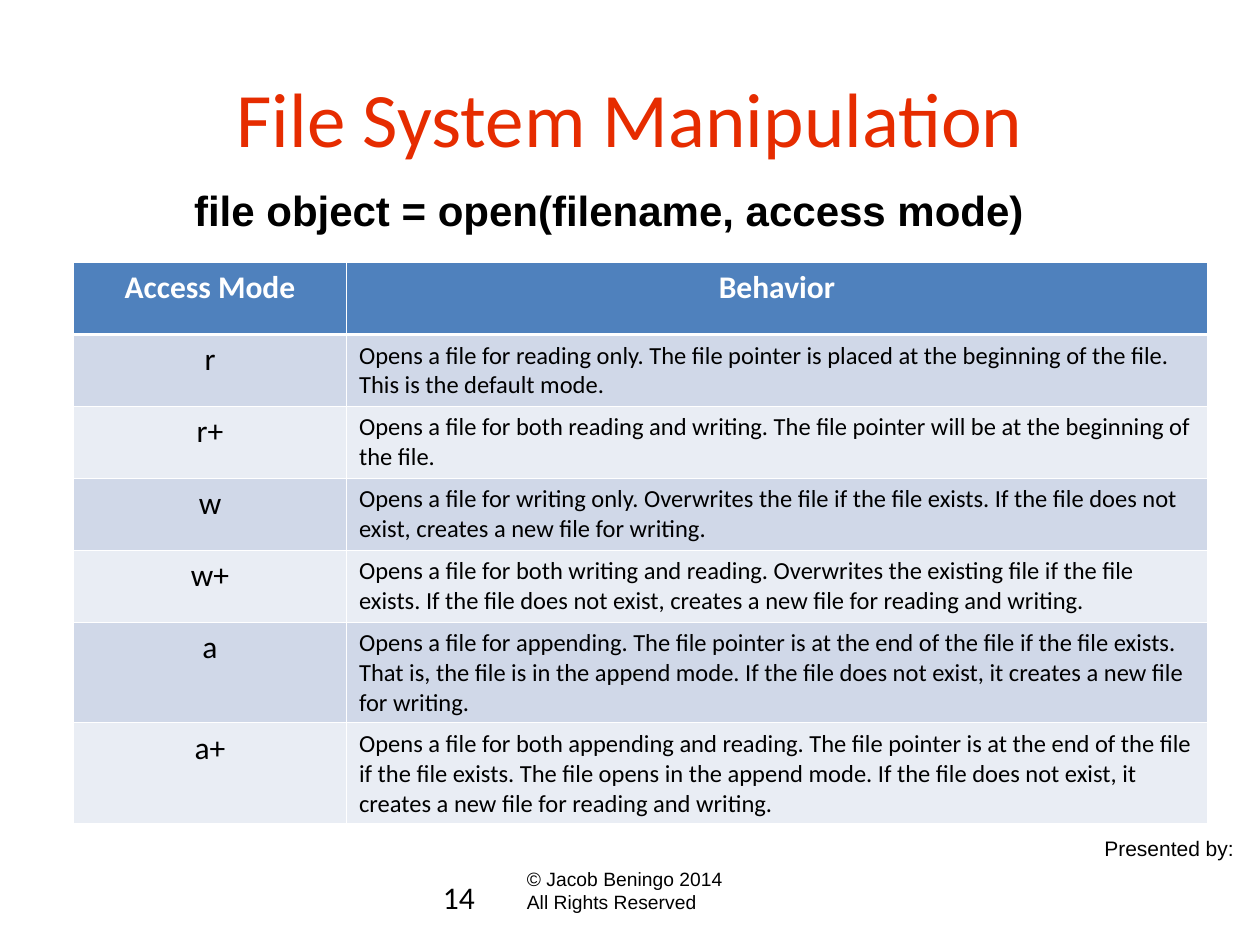
from dataclasses import dataclass

import lxml.etree
import pptx
import pptx.dml.color
import pptx.enum.text
import pptx.oxml.ns
import pptx.util

Pt = pptx.util.Pt
ALIGN = pptx.enum.text.PP_ALIGN
ANCHOR = pptx.enum.text.MSO_ANCHOR


@dataclass(frozen=True)
class Theme:
    heading_font: str = "Calibri"
    plain_font: str = "Arial"
    red: str = "E62C00"
    black: str = "000000"
    white: str = "FFFFFF"
    header_fill: str = "4F81BD"
    bands: tuple = ("D0D8E8", "E9EDF4")
    title_size: int = 44
    syntax_size: int = 24
    mode_size: int = 18
    behavior_size: int = 14
    presenter_size: int = 12
    copyright_size: int = 11
    thin_line: float = 0.45
    thick_line: float = 1.47


THEME = Theme()

MODES = [
    ("Access Mode", "Behavior"),
    ("r", "Opens a file for reading only. The file pointer is placed at the "
          "beginning of the file. This is the default mode."),
    ("r+", "Opens a file for both reading and writing. The file pointer will be at "
           "the beginning of the file."),
    ("w", "Opens a file for writing only. Overwrites the file if the file exists. "
          "If the file does not exist, creates a new file for writing."),
    ("w+", "Opens a file for both writing and reading. Overwrites the existing file "
           "if the file exists. If the file does not exist, creates a new file for "
           "reading and writing."),
    ("a", "Opens a file for appending. The file pointer is at the end of the file if "
          "the file exists. That is, the file is in the append mode. If the file does "
          "not exist, it creates a new file for writing."),
    ("a+", "Opens a file for both appending and reading. The file pointer is at the "
           "end of the file if the file exists. The file opens in the append mode. If "
           "the file does not exist, it creates a new file for reading and writing."),
]
COLUMN_WIDTHS = (156, 492)
ROW_HEIGHTS = (41.1,) * 5 + (57.6,) * 2


def write_text(frame, text, font, size, color=THEME.black, bold=False, align=ALIGN.LEFT):
    """Fill a text frame and format every run alike."""
    frame.text = text
    for para in frame.paragraphs:
        para.alignment = align
        for span in para.runs:
            span.font.name = font
            span.font.size = Pt(size)
            span.font.bold = bold
            span.font.color.rgb = pptx.dml.color.RGBColor.from_string(color)


def add_title(page, text):
    title = page.shapes.title
    title.left, title.top, title.width, title.height = Pt(36), Pt(21.6), Pt(648), Pt(90)
    title.text_frame.vertical_anchor = ANCHOR.MIDDLE
    write_text(title.text_frame, text, THEME.heading_font, THEME.title_size,
               THEME.red, align=ALIGN.CENTER)


def add_text(page, text, left, top, width, height, font, size, **style):
    box = page.shapes.add_textbox(Pt(left), Pt(top), Pt(width), Pt(height))
    box.text_frame.word_wrap = True
    write_text(box.text_frame, text, font, size, **style)


def set_borders(cell, top, bottom):
    """Draw white cell borders; top and bottom are line widths in points."""
    qn = pptx.oxml.ns.qn
    properties = cell._tc.get_or_add_tcPr()
    widths = {"a:lnL": THEME.thin_line, "a:lnR": THEME.thin_line,
              "a:lnT": top, "a:lnB": bottom}
    for tag, width in widths.items():
        line = lxml.etree.SubElement(properties, qn(tag), w=str(Pt(width)))
        fill = lxml.etree.SubElement(line, qn("a:solidFill"))
        lxml.etree.SubElement(fill, qn("a:srgbClr"), val=THEME.white)


def format_cell(cell, text, row, column):
    header = row == 0
    behavior = column == 1 and not header
    set_borders(cell,
                top=THEME.thick_line if row == 1 else THEME.thin_line,
                bottom=THEME.thick_line if header else THEME.thin_line)
    cell.fill.solid()
    fill = THEME.header_fill if header else THEME.bands[(row - 1) % 2]
    cell.fill.fore_color.rgb = pptx.dml.color.RGBColor.from_string(fill)
    write_text(cell.text_frame, text, THEME.heading_font,
               THEME.behavior_size if behavior else THEME.mode_size,
               color=THEME.white if header else THEME.black, bold=header,
               align=ALIGN.LEFT if behavior else ALIGN.CENTER)


def add_mode_table(page, left, top):
    table = page.shapes.add_table(
        len(MODES), len(COLUMN_WIDTHS), Pt(left), Pt(top),
        Pt(sum(COLUMN_WIDTHS)), Pt(sum(ROW_HEIGHTS))).table
    for column, width in zip(table.columns, COLUMN_WIDTHS):
        column.width = Pt(width)
    for row, height in zip(table.rows, ROW_HEIGHTS):
        row.height = Pt(height)
    for row, texts in enumerate(MODES):
        for column, text in enumerate(texts):
            format_cell(table.cell(row, column), text, row, column)


def main():
    deck = pptx.Presentation()
    deck.slide_width, deck.slide_height = Pt(720), Pt(540)
    page = deck.slides.add_slide(deck.slide_layouts[5])

    # Footer
    add_text(page, "Presented by:", 624, 474, 90, 21.6,
             THEME.plain_font, THEME.presenter_size)
    add_text(page, "© Jacob Beningo 2014\nAll Rights Reserved", 294, 492, 132, 46.8,
             THEME.plain_font, THEME.copyright_size)
    add_text(page, "14", 246, 498, 168, 28.8, THEME.heading_font, THEME.mode_size)

    # Title and call syntax
    add_title(page, "File System Manipulation")
    add_text(page, "file object = open(filename, access mode)", 66, 102, 564, 36,
             THEME.plain_font, THEME.syntax_size, bold=True, align=ALIGN.CENTER)

    # Access modes
    add_mode_table(page, 42, 150)

    deck.save("out.pptx")


if __name__ == "__main__":
    main()
